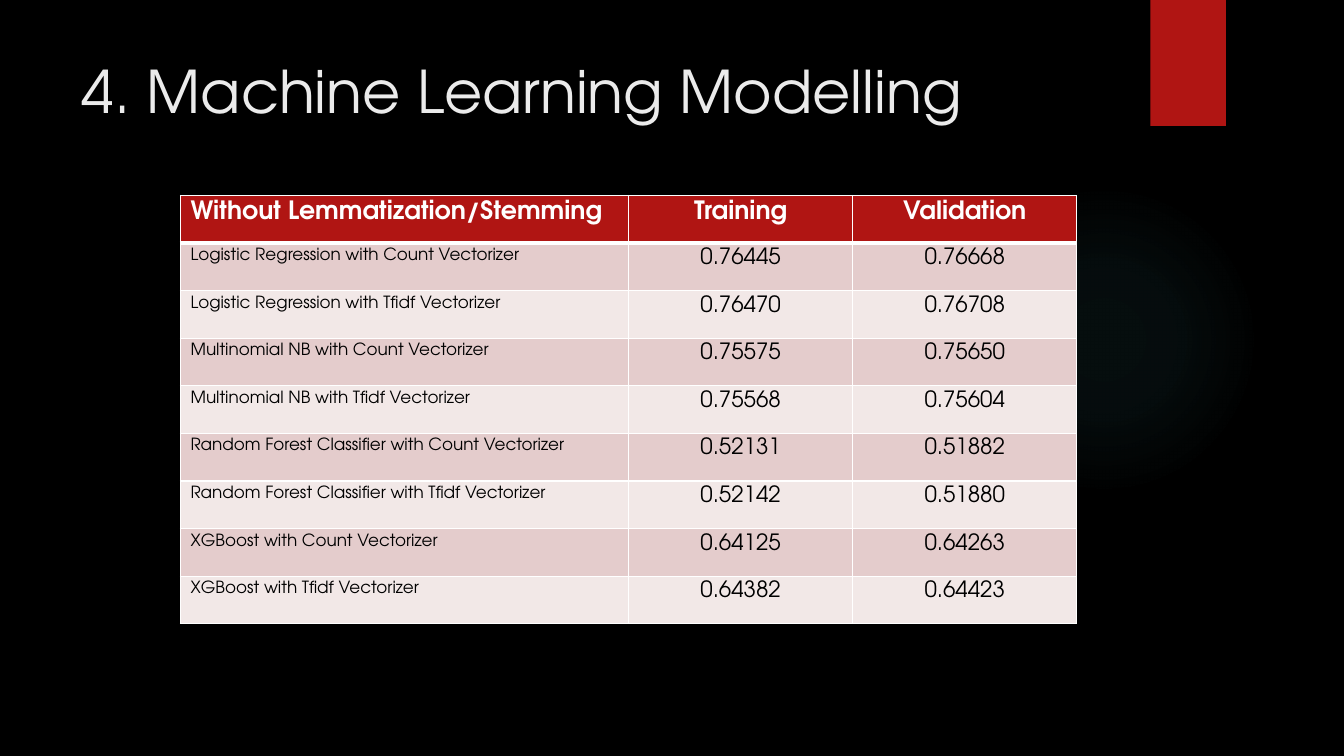
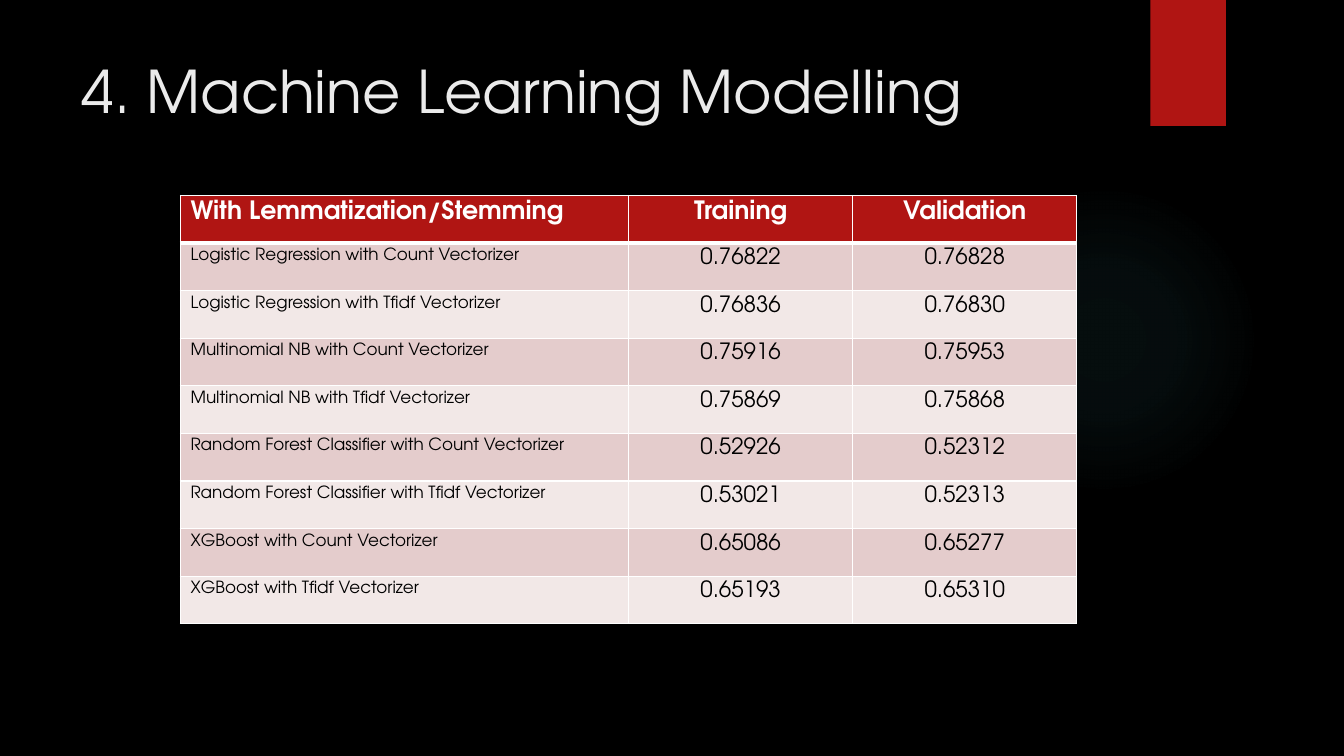
from itertools import product

from lxml.etree import SubElement
from pptx import Presentation
from pptx.dml.color import RGBColor
from pptx.enum.shapes import MSO_SHAPE
from pptx.enum.text import MSO_ANCHOR, PP_ALIGN
from pptx.oxml import parse_xml
from pptx.oxml.ns import nsdecls, qn
from pptx.util import Inches, Pt

# Table content
MODELS = [
    f"{model} with {vectorizer} Vectorizer"
    for model, vectorizer in product(
        ("Logistic Regression", "Multinomial NB", "Random Forest Classifier", "XGBoost"),
        ("Count", "Tfidf"),
    )
]
RESULTS = {
    "Without Lemmatization/Stemming": [
        ("0.76445", "0.76668"), ("0.76470", "0.76708"),
        ("0.75575", "0.75650"), ("0.75568", "0.75604"),
        ("0.52131", "0.51882"), ("0.52142", "0.51880"),
        ("0.64125", "0.64263"), ("0.64382", "0.64423"),
    ],
    "With Lemmatization/Stemming": [
        ("0.76822", "0.76828"), ("0.76836", "0.76830"),
        ("0.75916", "0.75953"), ("0.75869", "0.75868"),
        ("0.52926", "0.52312"), ("0.53021", "0.52313"),
        ("0.65086", "0.65277"), ("0.65193", "0.65310"),
    ],
}


def color(value):
    return RGBColor.from_string(value)


class Deck:
    FONT = "TeX Gyre Adventor"
    BACKGROUND, TITLE, ACCENT, GLOW = "000000", "EBEBEB", "B01513", "50B9C1"
    HEADER_TEXT, BODY_TEXT, BORDER = "FFFFFF", "000000", "FFFFFF"
    BANDS = ("E4CCCC", "F2E8E7")
    GLOW_STOPS = ((0, 7), (36, 6), (69, 0))  # position and opacity in percent

    def __init__(self):
        self.presentation = Presentation()
        self.presentation.slide_width = Inches(13.33)
        self.presentation.slide_height = Inches(7.5)
        background = self.presentation.slide_master.background.fill
        background.solid()
        background.fore_color.rgb = color(self.BACKGROUND)
        self.slide = None

    def add_slide(self, title):
        layout = self.presentation.slide_layouts.get_by_name("Title Only")
        self.slide = self.presentation.slides.add_slide(layout)
        self.add_glow()
        self.add_ribbon()
        self.add_title(title)

    def add_shape(self, kind, left, top, width, height):
        shape = self.slide.shapes.add_shape(
            kind, Inches(left), Inches(top), Inches(width), Inches(height))
        shape.shadow.inherit = False
        shape.line.fill.background()
        return shape

    def add_glow(self):
        shape = self.add_shape(MSO_SHAPE.OVAL, 9.41, 1.83, 3.08, 3.08)
        stops = "".join(
            f'<a:gs pos="{position * 1000}"><a:srgbClr val="{self.GLOW}">'
            f'<a:alpha val="{opacity * 1000}"/></a:srgbClr></a:gs>'
            for position, opacity in self.GLOW_STOPS)
        gradient = parse_xml(
            f'<a:gradFill {nsdecls("a")}><a:gsLst>{stops}</a:gsLst>'
            '<a:path path="circle"><a:fillToRect l="50000" t="50000" r="50000" b="50000"/>'
            '</a:path></a:gradFill>')
        shape.element.spPr.find(qn("a:prstGeom")).addnext(gradient)

    def add_ribbon(self):
        shape = self.add_shape(MSO_SHAPE.RECTANGLE, 11.41, 0, 0.75, 1.25)
        shape.fill.solid()
        shape.fill.fore_color.rgb = color(self.ACCENT)
        shape.element.spPr.find(qn("a:effectLst")).append(parse_xml(
            f'<a:outerShdw {nsdecls("a")} blurRad="{Pt(3)}" dist="{Pt(2)}" dir="5400000">'
            '<a:srgbClr val="000000"><a:alpha val="45000"/></a:srgbClr></a:outerShdw>'))

    def add_text(self, frame, text, size, text_color, align=PP_ALIGN.LEFT, bold=False):
        paragraph = frame.paragraphs[0]
        paragraph.alignment = align
        run = paragraph.add_run()
        run.text = text
        run.font.name = self.FONT
        run.font.size = Pt(size)
        run.font.bold = bold
        run.font.color.rgb = color(text_color)

    def add_title(self, text):
        title = self.slide.shapes.title
        title.left, title.top = Inches(0.71), Inches(0.49)
        title.width, title.height = Inches(10.29), Inches(1.53)
        title.text_frame.vertical_anchor = MSO_ANCHOR.TOP
        self.add_text(title.text_frame, text, 42, self.TITLE)

    def add_borders(self, cell, top, bottom):
        properties = cell._tc.get_or_add_tcPr()
        widths = {"lnL": 1, "lnR": 1, "lnT": top, "lnB": bottom}
        for index, (side, width) in enumerate(widths.items()):
            line = SubElement(properties, qn(f"a:{side}"), w=str(Pt(width)))
            fill = SubElement(line, qn("a:solidFill"))
            SubElement(fill, qn("a:srgbClr"), val=self.BORDER)
            properties.insert(index, line)  # borders come before the fill

    def add_cell(self, cell, text, row, column):
        is_header = row == 0
        cell.margin_top = cell.margin_bottom = Inches(0.05)
        cell.vertical_anchor = MSO_ANCHOR.TOP
        cell.fill.solid()
        cell.fill.fore_color.rgb = color(
            self.ACCENT if is_header else self.BANDS[(row - 1) % 2])
        self.add_borders(cell, top=3 if row == 1 else 1, bottom=3 if is_header else 1)
        size = 18 if is_header else 16 if column else 12
        self.add_text(
            cell.text_frame, text, size,
            self.HEADER_TEXT if is_header else self.BODY_TEXT,
            PP_ALIGN.CENTER if column else PP_ALIGN.LEFT, is_header)

    def add_table(self, rows, column_shares):
        width, height = Inches(8.89), Inches(4.25)
        table = self.slide.shapes.add_table(
            len(rows), len(column_shares), Inches(1.79), Inches(1.94),
            width, height).table
        for column, share in zip(table.columns, column_shares):
            column.width = width * share // sum(column_shares)
        for row_index, texts in enumerate(rows):
            table.rows[row_index].height = height // len(rows)
            for column_index, text in enumerate(texts):
                self.add_cell(table.cell(row_index, column_index), text,
                              row_index, column_index)


def main():
    deck = Deck()
    # One slide of scores for each kind of preprocessing
    for heading, scores in RESULTS.items():
        deck.add_slide("4. Machine Learning Modelling")
        rows = [(heading, "Training", "Validation")]
        rows += [(model, *pair) for model, pair in zip(MODELS, scores)]
        deck.add_table(rows, (2, 1, 1))
    deck.presentation.save("out.pptx")


if __name__ == "__main__":
    main()
